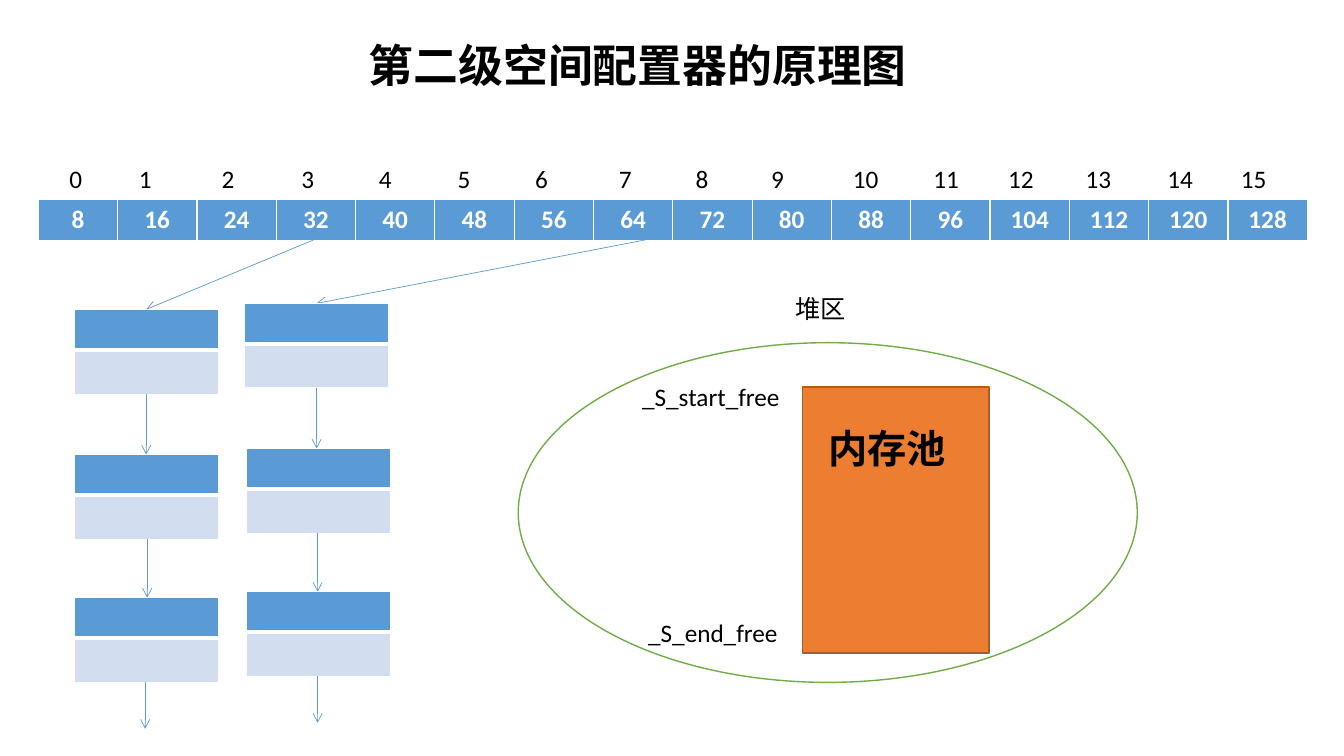
from dataclasses import dataclass

from lxml import etree
from pptx import Presentation
from pptx.dml.color import RGBColor
from pptx.enum.shapes import MSO_CONNECTOR, MSO_SHAPE
from pptx.enum.text import MSO_AUTO_SIZE, PP_ALIGN
from pptx.oxml.ns import qn
from pptx.util import Inches, Pt

STRAIGHT = MSO_CONNECTOR.STRAIGHT
ELLIPSE, RECTANGLE = MSO_SHAPE.OVAL, MSO_SHAPE.RECTANGLE
CENTER = PP_ALIGN.CENTER
GROW = MSO_AUTO_SIZE.SHAPE_TO_FIT_TEXT

FONT = "Calibri"
BLUE, PALE_BLUE, WHITE, BLACK = "5B9BD5", "D2DEEF", "FFFFFF", "000000"
GREEN, ORANGE, BROWN = "70AD47", "ED7D31", "AF5C24"


@dataclass
class Label:
    text: str
    left: float
    top: float
    width: float
    height: float = 0.4
    size: int = 18
    bold: bool = False


@dataclass
class Arrow:
    x1: float
    y1: float
    x2: float
    y2: float


@dataclass
class Region:
    kind: MSO_SHAPE
    left: float
    top: float
    width: float
    height: float
    fill: str
    line: str


@dataclass
class FreeList:
    """A chain of memory blocks hanging from one slot of the array."""
    lefts: tuple
    arrow_xs: tuple
    top: float
    slot_x: float


BLOCK_WIDTH, BLOCK_ROWS = 1.43, (0.4, 0.44)
BLOCK_OFFSETS = (0, 1.44, 2.86)
LAST_ARROW = 0.46
ARRAY_LEFT, ARRAY_TOP, ARRAY_BOTTOM = 0.38, 1.98, 2.38
SLOT_COUNT, SLOT_WIDTH, SLOT_HEIGHT = 16, 0.787, 0.42

INDEX_LEFTS = (0.59, 1.28, 2.1, 2.89, 3.66, 4.44, 5.21, 6.04,
               6.8, 7.55, 8.36, 9.16, 9.9, 10.67, 11.48, 12.21)
FREE_LISTS = (
    FreeList((0.74, 0.74, 0.74), (1.45, 1.46, 1.44), 3.07, 3.11),
    FreeList((2.42, 2.44, 2.44), (3.14, 3.15, 3.15), 3.01, 6.4),
)
REGIONS = (
    Region(ELLIPSE, 5.14, 3.4, 6.14, 3.37, WHITE, GREEN),
    Region(RECTANGLE, 7.96, 3.84, 1.85, 2.64, ORANGE, BROWN),
)
LABELS = (
    Label("第二级空间配置器的原理图", 3.56, 0.33, 6.55, 0.64, 32, True),
    Label("堆区", 7.79, 2.86, 1.62),
    Label("_S_start_free", 6.27, 3.73, 1.83),
    Label("_S_end_free", 6.33, 6.08, 1.83),
    Label("内存池", 8.12, 4.16, 1.45, 0.57, 28, True),
)


def color(value: str) -> RGBColor:
    return RGBColor.from_string(value)


def style_font(font, size: int, value: str, bold: bool) -> None:
    font.name, font.size, font.bold = FONT, Pt(size), bold
    font.color.rgb = color(value)


def style_cell(cell, fill: str, bottom: float) -> None:
    """Give a cell white borders and a solid fill."""
    properties = cell._tc.get_or_add_tcPr()
    for side, width in (("L", 1), ("R", 1), ("T", 1), ("B", bottom)):
        border = etree.SubElement(properties, qn(f"a:ln{side}"), w=str(Pt(width)))
        solid = etree.SubElement(border, qn("a:solidFill"))
        etree.SubElement(solid, qn("a:srgbClr"), val=WHITE)
    cell.fill.solid()
    cell.fill.fore_color.rgb = color(fill)


def add_array(page) -> None:
    table = page.shapes.add_table(
        1, SLOT_COUNT, Inches(ARRAY_LEFT), Inches(ARRAY_TOP),
        Inches(SLOT_COUNT * SLOT_WIDTH), Inches(SLOT_HEIGHT)).table
    for index, cell in enumerate(table.iter_cells()):
        cell.text = str(8 * (index + 1))
        para = cell.text_frame.paragraphs[0]
        para.alignment = CENTER
        style_font(para.font, 18, WHITE, True)
        style_cell(cell, BLUE, 3)


def add_block(page, left: float, top: float) -> None:
    table = page.shapes.add_table(
        2, 1, Inches(left), Inches(top),
        Inches(BLOCK_WIDTH), Inches(sum(BLOCK_ROWS))).table
    for row, height in zip(table.rows, BLOCK_ROWS):
        row.height = Inches(height)
    for cell, fill, bottom in zip(table.iter_cells(), (BLUE, PALE_BLUE), (3, 1)):
        cell.margin_top = cell.margin_bottom = 0
        style_cell(cell, fill, bottom)


def add_arrow(page, arrow: Arrow) -> None:
    line = page.shapes.add_connector(
        STRAIGHT, Inches(arrow.x1), Inches(arrow.y1),
        Inches(arrow.x2), Inches(arrow.y2))
    line.line.color.rgb = color(BLUE)
    line.line.width = Pt(0.5)
    etree.SubElement(line.line._get_or_add_ln(), qn("a:tailEnd"), type="arrow")
    etree.SubElement(line._element.spPr, qn("a:effectLst"))


def add_free_list(page, chain: FreeList) -> None:
    tops = [chain.top + offset for offset in BLOCK_OFFSETS]
    ends = tops[1:] + [tops[-1] + sum(BLOCK_ROWS) + LAST_ARROW]
    add_arrow(page, Arrow(chain.slot_x, ARRAY_BOTTOM, chain.arrow_xs[0], chain.top))
    for left, x, top, end in zip(chain.lefts, chain.arrow_xs, tops, ends):
        add_block(page, left, top)
        add_arrow(page, Arrow(x, top + sum(BLOCK_ROWS), x, end))


def add_region(page, region: Region) -> None:
    shape = page.shapes.add_shape(
        region.kind, Inches(region.left), Inches(region.top),
        Inches(region.width), Inches(region.height))
    shape.shadow.inherit = False
    shape.fill.solid()
    shape.fill.fore_color.rgb = color(region.fill)
    shape.line.color.rgb = color(region.line)
    shape.line.width = Pt(1)


def add_label(page, label: Label) -> None:
    box = page.shapes.add_textbox(
        Inches(label.left), Inches(label.top),
        Inches(label.width), Inches(label.height))
    frame = box.text_frame
    frame.word_wrap = True
    frame.auto_size = GROW
    para = frame.paragraphs[0]
    para.text = label.text
    style_font(para.font, label.size, BLACK, label.bold)


def main() -> None:
    deck = Presentation()
    deck.slide_width, deck.slide_height = Inches(13.33), Inches(7.5)
    page = deck.slides.add_slide(deck.slide_layouts[6])

    # Array of slots with its indices
    add_array(page)
    for index, left in enumerate(INDEX_LEFTS):
        add_label(page, Label(str(index), left, 1.57, 0.61))

    # Free lists
    for chain in FREE_LISTS:
        add_free_list(page, chain)

    # Heap, memory pool and captions
    for region in REGIONS:
        add_region(page, region)
    for label in LABELS:
        add_label(page, label)

    deck.save("out.pptx")


if __name__ == "__main__":
    main()
